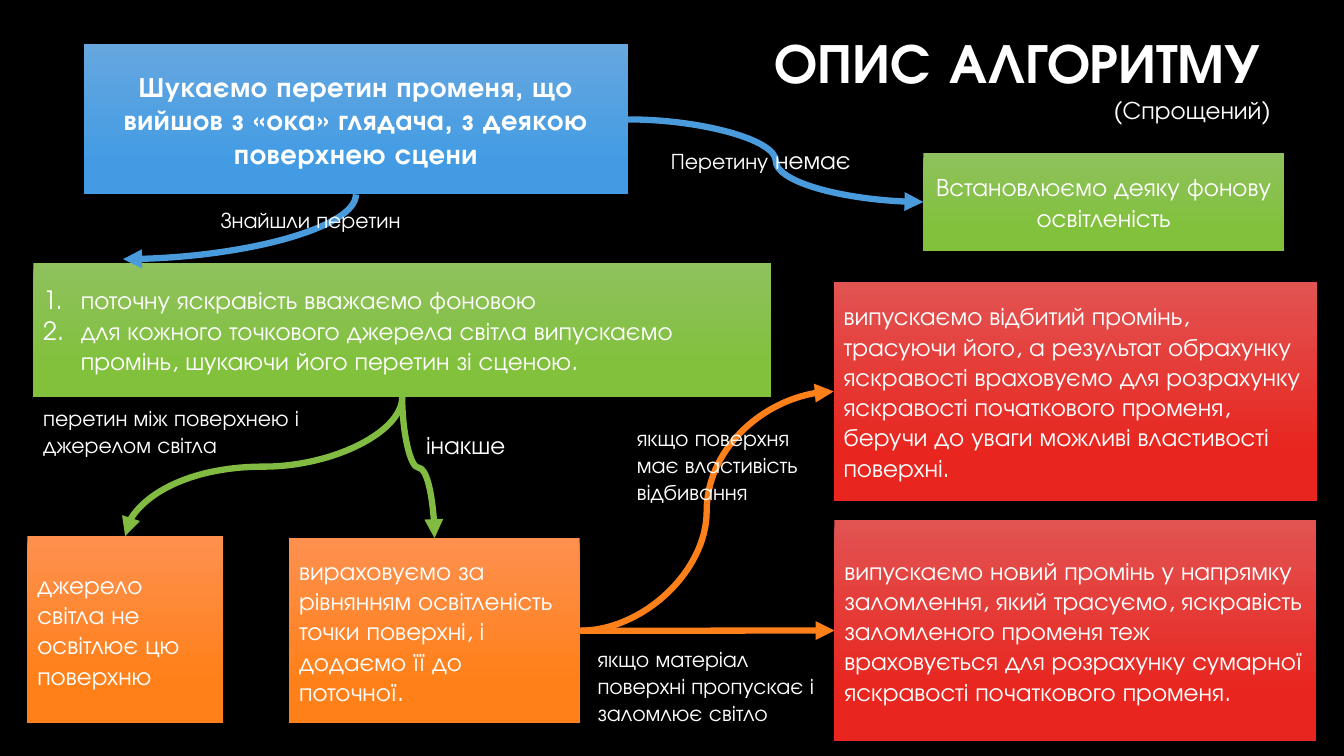
from lxml.etree import SubElement
from pptx import Presentation
from pptx.dml.color import RGBColor
from pptx.enum.shapes import MSO_CONNECTOR as Link, MSO_SHAPE as Shape
from pptx.enum.text import MSO_ANCHOR as Anchor, MSO_AUTO_SIZE as Fit, PP_ALIGN as Align
from pptx.oxml.ns import qn
from pptx.util import Cm, Pt

FONT = "TeX Gyre Adventor"
BLACK = RGBColor(0x00, 0x00, 0x00)
WHITE = RGBColor(0xFF, 0xFF, 0xFF)
BLUE = RGBColor(0x4A, 0x9B, 0xDC)
GREEN = RGBColor(0x81, 0xBB, 0x42)
ORANGE = RGBColor(0xFE, 0x80, 0x1A)
# Box gradients: top colour, bottom colour
SKY = (RGBColor(0x66, 0xA7, 0xE0), RGBColor(0x43, 0x9C, 0xE3))
LEAF = (RGBColor(0x8F, 0xC1, 0x5E), RGBColor(0x81, 0xC1, 0x3C))
FLAME = (RGBColor(0xFE, 0x90, 0x4F), RGBColor(0xFF, 0x80, 0x19))
RED = (RGBColor(0xE2, 0x54, 0x52), RGBColor(0xE8, 0x25, 0x1F))

# Content: a paragraph is a string or a list of (text, size) runs
TITLE = [("ОПИС", 40), (" ", 48), ("АЛГОРИТМУ", 40)]
TITLE_AT = (8.1, -0.23, 23.93, 3.58)

# name: (left, top, width, height) in cm, gradient, paragraphs, format
BOXES = {
    "seek": ((2.11, 1.12, 13.72, 3.78), SKY,
             ["Шукаємо перетин променя, що вийшов з «ока» глядача, з деякою поверхнею сцени"],
             dict(size=20, bold=True, align=Align.CENTER, gap=50)),
    "miss": ((23.27, 3.86, 9.09, 2.46), LEAF,
             ["Встановлюємо деяку фонову освітленість"], dict(align=Align.CENTER)),
    "hit": ((0.84, 6.63, 18.59, 3.38), LEAF,
            ["поточну яскравість вважаємо фоновою",
             "для кожного точкового джерела світла випускаємо промінь, "
             "шукаючи його перетин зі сценою."], dict(numbered=True)),
    "dark": ((0.69, 13.51, 4.93, 4.72), FLAME,
             ["джерело світла не освітлює цю поверхню"], {}),
    "lit": ((7.29, 13.56, 7.32, 4.67), FLAME,
            ["вираховуємо за рівнянням освітленість точки поверхні, "
             "і додаємо її до поточної."], {}),
    "mirror": ((21.01, 7.11, 12.19, 5.51), RED,
               ["випускаємо відбитий промінь, трасуючи його, а результат обрахунку "
                "яскравості враховуємо для розрахунку яскравості початкового променя, "
                "беручи до уваги можливі властивості поверхні."], {}),
    "bend": ((21.03, 13.11, 12.14, 5.56), RED,
             ["випускаємо новий промінь у напрямку заломлення, який трасуємо, "
              "яскравість заломленого променя теж враховується для розрахунку "
              "сумарної яскравості початкового променя."], {}),
}

# from box, to box, colour
ACROSS = [("seek", "miss", BLUE), ("lit", "mirror", ORANGE), ("lit", "bend", ORANGE)]
DOWN = [("hit", "dark", GREEN), ("hit", "lit", GREEN)]
HIT_END = (3.1, 6.53)

LABELS = [
    ((0.84, 10.06, 7.92, 1.63), "перетин між поверхнею і джерелом світла", 16),
    ((14.81, 16.13, 6.4, 2.31), "якщо матеріал поверхні пропускає і заломлює світло", 16),
    ((10.49, 10.69, 2.79, 1.02), "інакше", 18),
    ((15.8, 10.57, 5.23, 2.31), "якщо поверхня має властивість відбивання", 16),
    ((27.81, 2.24, 5.9, 1.02), "(Спрощений)", 18),
    ((16.66, 3.51, 6.35, 1.02), [("Перетину", 16), (" немає", 18)], 16),
    ((5.31, 5.08, 7.09, 0.94), "Знайшли перетин", 16),
]


def place(at):
    return [Cm(n) for n in at]


def write(shape, paras, size=18, bold=False, align=Align.LEFT,
          anchor=Anchor.MIDDLE, gap=0, numbered=False, lead=None):
    frame = shape.text_frame
    frame.word_wrap = True
    frame.auto_size = Fit.NONE
    frame.vertical_anchor = anchor
    for i, para in enumerate(paras):
        p = frame.add_paragraph() if i else frame.paragraphs[0]
        p.alignment = align
        if lead:
            p.line_spacing = lead
        if numbered:
            props = p._p.get_or_add_pPr()
            props.set("marL", str(Cm(0.95)))
            props.set("indent", str(-Cm(0.95)))
            SubElement(props, qn("a:buFont"), typeface="+mj-lt")
            SubElement(props, qn("a:buAutoNum"), type="arabicPeriod")
        for text, points in [(para, size)] if isinstance(para, str) else para:
            run = p.add_run()
            run.text = text
            font = run.font
            font.name, font.size, font.bold = FONT, Pt(points), bold
            font.color.rgb = WHITE
            if gap:
                run._r.get_or_add_rPr().set("spc", str(gap))


def draw_box(slide, at, tones, paras, style):
    box = slide.shapes.add_shape(Shape.RECTANGLE, *place(at))
    box.fill.gradient()
    box.fill.gradient_angle = 270
    for stop, tone, spot in zip(box.fill.gradient_stops, tones, (0, 0.78)):
        stop.color.rgb, stop.position = tone, spot
    box.line.fill.background()
    box.shadow.inherit = False
    glow = SubElement(box._element.spPr.find(qn("a:effectLst")), qn("a:outerShdw"),
                      blurRad=str(Pt(4.5)), dist=str(Pt(1.5)), dir="5400000",
                      algn="ctr", rotWithShape="0")
    shade = SubElement(glow, qn("a:srgbClr"), val=str(BLACK))
    SubElement(shade, qn("a:alpha"), val="48000")
    write(box, paras, **style)


def draw_arrow(slide, start, end, color, down=False, kind=None):
    (x1, y1), (x2, y2) = start, end
    right = x2 > x1
    if down:  # lay the curve flat around its centre, then turn it
        mx, my = (x1 + x2) / 2, (y1 + y2) / 2
        half, rise = (y2 - y1) / 2, abs(x2 - x1) / 2
        if right:
            half = -half
        x1, y1, x2, y2 = mx - half, my - rise, mx + half, my + rise
    arrow = slide.shapes.add_connector(Link.CURVE, *place((x1, y1, x2, y2)))
    arrow.line.color.rgb = color
    arrow.line.width = Pt(4.5)
    SubElement(arrow.line._get_or_add_ln(), qn("a:tailEnd"), type="triangle")
    props = arrow._element.spPr
    SubElement(props, qn("a:effectLst"))
    if down:
        props.find(qn("a:xfrm")).set("rot", str((270 if right else 90) * 60000))
    if kind:
        props.find(qn("a:prstGeom")).set("prst", kind)


def spot(name, fx, fy):
    x, y, w, h = BOXES[name][0]
    return x + w * fx, y + h * fy


def main():
    deck = Presentation()
    deck.slide_width, deck.slide_height = Cm(33.87), Cm(19.05)
    slide = deck.slides.add_slide(deck.slide_layouts[5])
    slide.background.fill.solid()
    slide.background.fill.fore_color.rgb = BLACK

    # Title
    title = slide.shapes.title
    title.left, title.top, title.width, title.height = place(TITLE_AT)
    write(title, [TITLE], bold=True, align=Align.RIGHT, lead=0.9)

    # Steps
    for at, tones, paras, style in BOXES.values():
        draw_box(slide, at, tones, paras, style)

    # Arrows
    draw_arrow(slide, spot("seek", 0.5, 1), HIT_END, BLUE, True, "curvedConnector2")
    for src, dest, color in ACROSS:
        draw_arrow(slide, spot(src, 1, 0.5), spot(dest, 0, 0.5), color)
    for src, dest, color in DOWN:
        draw_arrow(slide, spot(src, 0.5, 1), spot(dest, 0.5, 0), color, True)

    # Conditions
    for at, text, size in LABELS:
        label = slide.shapes.add_textbox(*place(at))
        write(label, [text], size=size, anchor=Anchor.TOP)

    deck.save("out.pptx")


if __name__ == "__main__":
    main()
